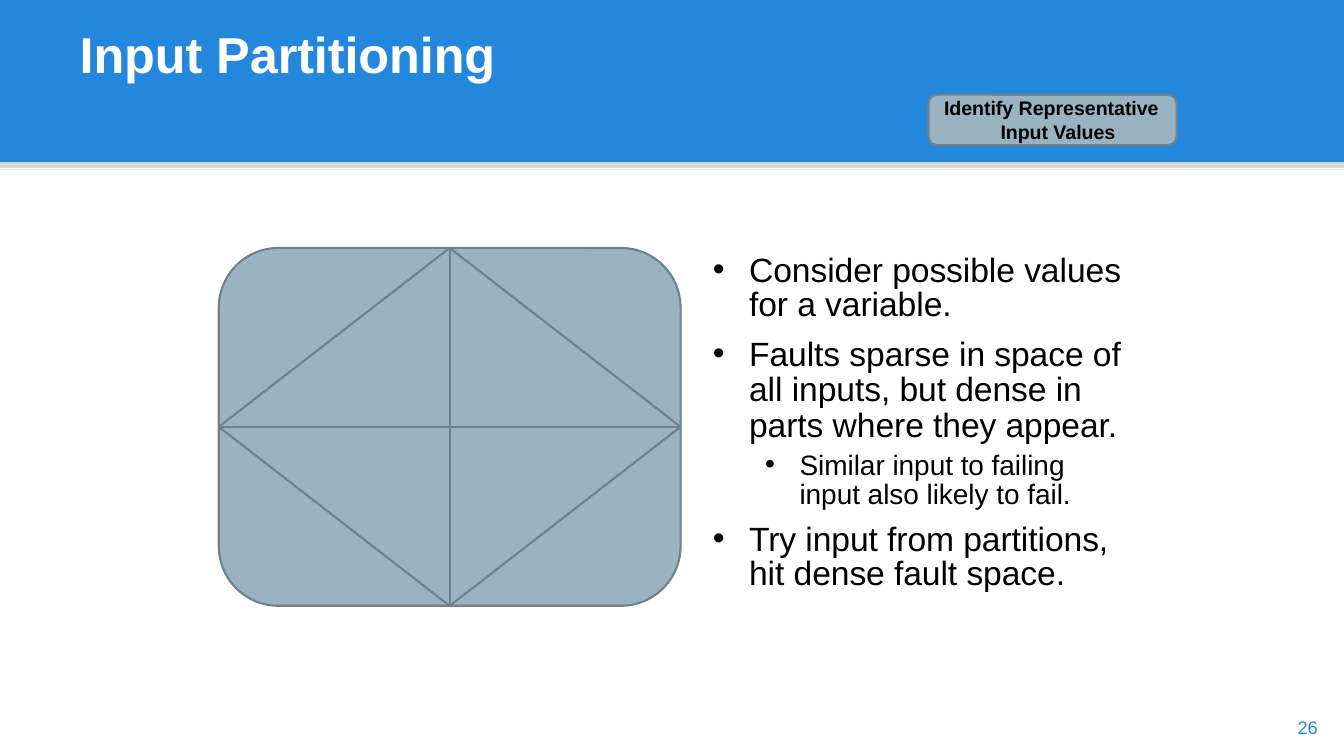
from itertools import combinations

from lxml import etree
from pptx import Presentation
from pptx import util as u
from pptx.dml.color import RGBColor
from pptx.enum import shapes, text
from pptx.oxml import ns

BLUE = RGBColor(0x23, 0x88, 0xDB)
STEEL = RGBColor(0x99, 0xB3, 0xC1)
SLATE = RGBColor(0x6F, 0x82, 0x8C)
BLACK = RGBColor(0, 0, 0)
WHITE = RGBColor(255, 255, 255)

RECTANGLE = shapes.MSO_SHAPE.RECTANGLE
ROUNDED = shapes.MSO_SHAPE.ROUNDED_RECTANGLE

BULLETS = [
    ("Consider possible values for a variable.", 0, u.Pt(24.5), 0),
    ("Faults sparse in space of all inputs, but dense in parts where they appear.", 0, 0.89, 9.8),
    ("Similar input to failing input also likely to fail.", 1, u.Pt(20.5), 5.3),
    ("Try input from partitions, hit dense fault space.", 0, u.Pt(24.5), 10),
]
BULLET_LEVELS = [(24, 0.38, -0.36), (20, 0.88, -0.34)]


def write(para, content, size, color=BLACK, bold=False, tracking=-0.05):
    span = para.add_run()
    span.text = content
    span.font.name = "Arial"
    span.font.size = u.Pt(size)
    span.font.bold = bold
    span.font.color.rgb = color
    span.font._element.set("spc", str(round(tracking * 100)))


class SlideBuilder:
    outline_width = u.Pt(1.5)

    def __init__(self, page):
        self.page = page

    def shape(self, kind, left, top, width, height, fill, outline=None, opacity=None):
        shape = self.page.shapes.add_shape(
            kind, u.Inches(left), u.Inches(top), u.Inches(width), u.Inches(height))
        shape.shadow.inherit = False
        shape.fill.solid()
        shape.fill.fore_color.rgb = fill
        if opacity is not None:
            color = shape._element.spPr.find(".//" + ns.qn("a:srgbClr"))
            etree.SubElement(color, ns.qn("a:alpha"), val=str(opacity * 1000))
        if outline is None:
            shape.line.fill.background()
        else:
            shape.line.color.rgb = outline
            shape.line.width = self.outline_width
        return shape

    def frame(self, shape):
        frame = shape.text_frame
        frame.word_wrap = True
        frame.margin_left = frame.margin_right = 0
        frame.margin_top = frame.margin_bottom = 0
        return frame

    def text_box(self, left, top, width, height):
        box = self.page.shapes.add_textbox(
            u.Inches(left), u.Inches(top), u.Inches(width), u.Inches(height))
        return self.frame(box)

    def indent(self, para, margin, first_line):
        properties = para._p.get_or_add_pPr()
        properties.set("marL", str(u.Inches(margin)))
        properties.set("indent", str(u.Inches(first_line)))
        return properties

    def label(self, content, left, top, width, height, **style):
        write(self.text_box(left, top, width, height).paragraphs[0], content, **style)

    def badge(self, content, left, top, width, height):
        frame = self.frame(self.shape(ROUNDED, left, top, width, height, STEEL, SLATE))
        frame.margin_left = u.Inches(0.13)
        frame.vertical_anchor = text.MSO_ANCHOR.MIDDLE
        para = frame.paragraphs[0]
        para.alignment = text.PP_ALIGN.LEFT
        para.line_spacing = u.Pt(16.5)
        self.indent(para, 0.56, -0.56)
        write(para, content, size=14, bold=True)

    def join(self, shape, start, end):
        line = self.page.shapes.add_connector(shapes.MSO_CONNECTOR.STRAIGHT, 0, 0, 0, 0)
        line.begin_connect(shape, start)
        line.end_connect(shape, end)
        line.line.color.rgb = SLATE
        line.line.width = self.outline_width
        etree.SubElement(line._element.spPr, ns.qn("a:effectLst"))

    def bullets(self, items, left, top, width, height):
        frame = self.text_box(left, top, width, height)
        for index, (content, level, spacing, before) in enumerate(items):
            para = frame.add_paragraph() if index else frame.paragraphs[0]
            size, margin, first_line = BULLET_LEVELS[level]
            para.level = level
            para.line_spacing = spacing
            para.space_before = u.Pt(before)
            properties = self.indent(para, margin, first_line)
            etree.SubElement(properties, ns.qn("a:buFont"), typeface="Arial")
            etree.SubElement(properties, ns.qn("a:buChar"), char="•")
            write(para, content, size)


def main():
    deck = Presentation()
    deck.slide_width, deck.slide_height = u.Inches(13.33), u.Inches(7.5)
    builder = SlideBuilder(deck.slides.add_slide(deck.slide_layouts[6]))

    builder.shape(RECTANGLE, 0, 1.68, 13.33, 0, BLUE)
    builder.shape(RECTANGLE, 0, 0, 13.33, 1.61, BLUE)
    builder.shape(RECTANGLE, 0, 1.61, 13.33, 0.06, BLACK, opacity=15)
    builder.label("Input Partitioning", 0.79, 0.23, 11.77, 0.61,
                  size=36, color=WHITE, bold=True)
    builder.label("26", 12.87, 7.11, 0.34, 0.21, size=13, color=BLUE, tracking=0)

    input_space = builder.shape(ROUNDED, 2.17, 2.46, 4.58, 3.55, STEEL, SLATE)
    for start, end in combinations(range(4), 2):
        builder.join(input_space, start, end)

    builder.badge("Identify Representative Input Values", 9.21, 0.94, 2.46, 0.5)
    builder.bullets(BULLETS, 7.05, 2.53, 4.12, 3.41)
    deck.save("out.pptx")


if __name__ == "__main__":
    main()
